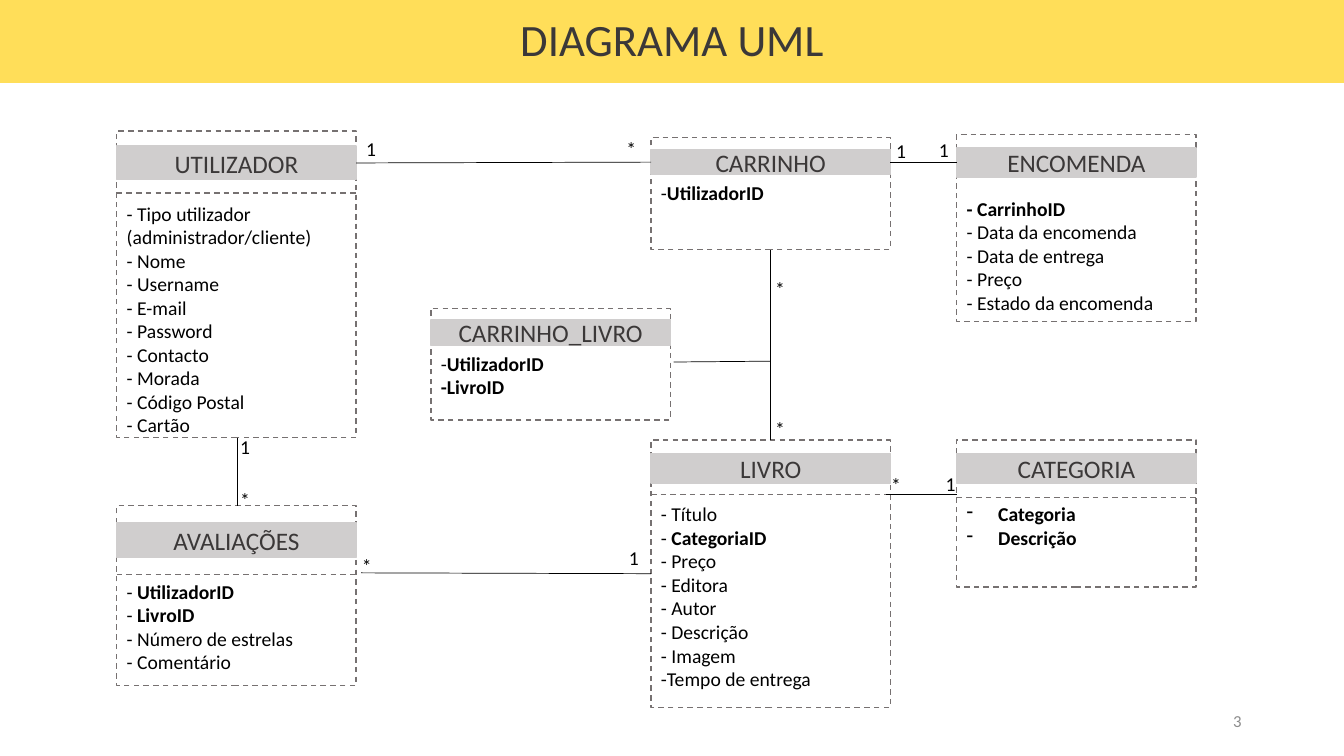
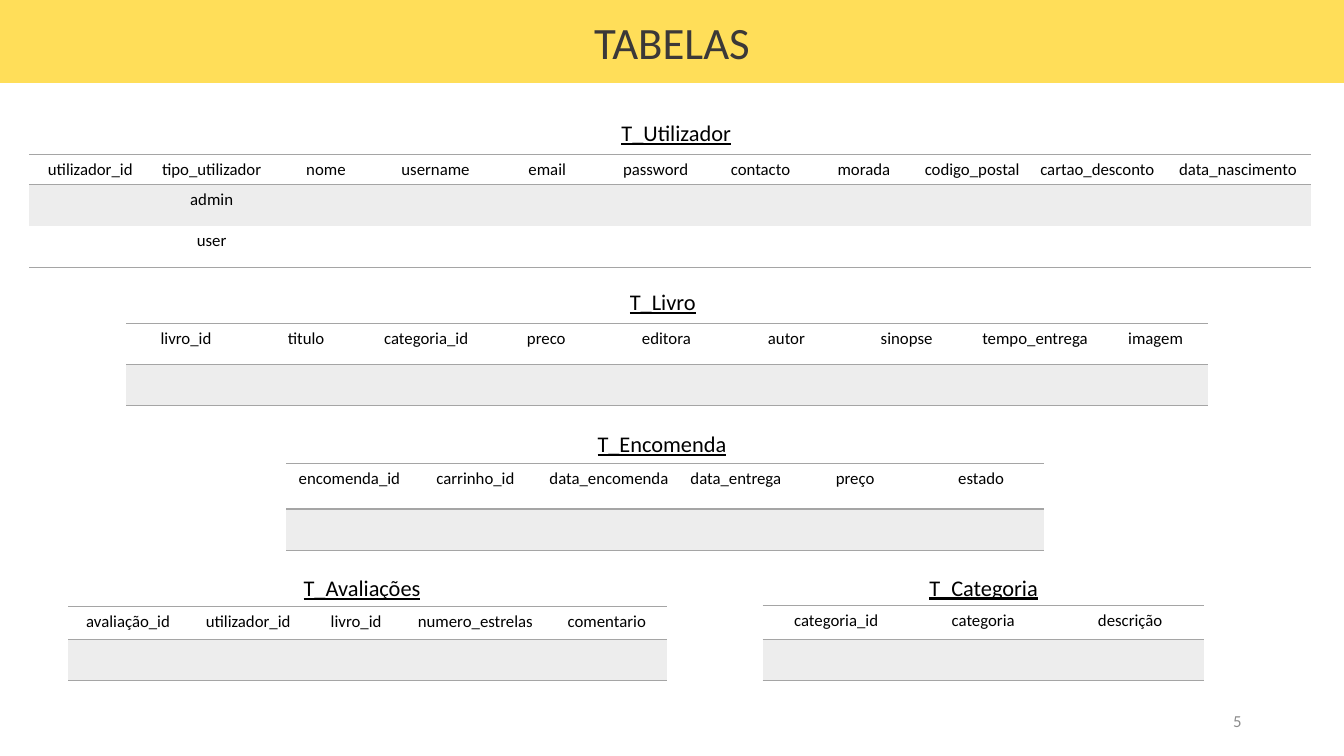
import pptx
import pptx.dml.color
import pptx.enum.dml
import pptx.enum.shapes
import pptx.enum.text
import pptx.oxml.ns
import pptx.util
from lxml import etree

qn = pptx.oxml.ns.qn
Pt = pptx.util.Pt
ALIGN = pptx.enum.text.PP_ALIGN
DASH = pptx.enum.dml.MSO_LINE.DASH

COLORS = {
    "yellow": "FFDE59", "title": "3B3838", "band": "D0CECE", "frame": "767171",
    "text": "000000", "number": "8C8C8C", "rule": "A5A5A5", "stripe": "EDEDED",
}
RGB = {name: pptx.dml.color.RGBColor.from_string(code) for name, code in COLORS.items()}
FONT = "Calibri"
NO_GRID_STYLE = "{2D5ABB26-0587-4C30-8999-92F81FD0307C}"

deck = pptx.Presentation()
deck.slide_width = pptx.util.Inches(13.333)
deck.slide_height = pptx.util.Inches(7.5)
# The slide is a grid of 160 columns and 90 rows of square cells.
COLUMNS, ROWS = 160, 90
CELL = deck.slide_height / ROWS


def add_box(slide, at, lines=(), size=14, color="text", align=ALIGN.LEFT, fill=None,
            border=None, dash=None, middle=False, underline=None, bullets=False):
    """Add a rectangle, or a text box if it has no border; text after "|" is bold."""
    place = [round(n * CELL) for n in at]
    if border:
        box = slide.shapes.add_shape(pptx.enum.shapes.MSO_SHAPE.RECTANGLE, *place)
        box.shadow.inherit = False
        box.line.color.rgb = RGB[border]
        box.line.width = Pt(1)
        box.line.dash_style = dash
        if fill:
            box.fill.solid()
            box.fill.fore_color.rgb = RGB[fill]
        else:
            box.fill.background()
    else:
        box = slide.shapes.add_textbox(*place)
    frame = box.text_frame
    frame.word_wrap = True
    anchor = pptx.enum.text.MSO_ANCHOR
    frame.vertical_anchor = anchor.MIDDLE if middle else anchor.TOP
    for index, line in enumerate(lines):
        paragraph = frame.add_paragraph() if index else frame.paragraphs[0]
        plain, _, strong = line.partition("|")
        if plain:
            paragraph.add_run().text = plain
        if strong:
            run = paragraph.add_run()
            run.text = strong
            run.font.bold = True
        paragraph.alignment = align
        if bullets:
            props = paragraph._p.get_or_add_pPr()
            indent = round(3.75 * CELL)
            props.set("marL", str(indent))
            props.set("indent", str(-indent))
            etree.SubElement(props, qn("a:buChar")).set("char", "-")
        font = paragraph.font
        font.name, font.size, font.underline = FONT, Pt(size), underline
        font.color.rgb = RGB[color]


def add_line(slide, start, end, color="text", width=0.5, dash=None):
    line = slide.shapes.add_connector(
        pptx.enum.shapes.MSO_CONNECTOR.STRAIGHT, *[round(n * CELL) for n in start + end])
    line.line.color.rgb = RGB[color]
    line.line.width = Pt(width)
    line.line.dash_style = dash
    etree.SubElement(line.element.spPr, qn("a:effectLst"))


# Title band and page number
slides = []
for title, title_top, number in [("DIAGRAMA UML", 0.8, "3"), ("TABELAS", 1.2, "5")]:
    slide = deck.slides.add_slide(deck.slide_layouts[6])
    add_box(slide, (0, 0, COLUMNS, 9.8), fill="yellow", border="yellow")
    add_box(slide, (0, title_top, COLUMNS, 7.7), [title], 32, "title", ALIGN.CENTER)
    add_box(slide, (113, 83.4, 36, 4.8), [number], 12, "number", ALIGN.RIGHT, middle=True)
    slides.append(slide)
diagram, tables = slides

# Classes: name, left, top, height, band top, band height, list top, divider, attributes
LEFT, CENTER, INNER, RIGHT = 13.9, 51.3, 77.5, 113.9
CLASS_WIDTH = 28.5
classes = [
    ("ENCOMENDA", RIGHT, 16, 22.3, 17.6, 3.5, 22.8, None,
     ["|- CarrinhoID", "- Data da encomenda", "- Data de entrega", "- Preço",
      "- Estado da encomenda"]),
    ("LIVRO", INNER, 52.4, 31.8, 54, 3.5, 59.2, 58.9,
     ["- Título", "- |CategoriaID", "- Preço", "- Editora", "- Autor", "- Descrição",
      "- Imagem", "-Tempo de entrega"]),
    ("UTILIZADOR", LEFT, 15.6, 36.5, 17.4, 4, 23.4, 23,
     ["- Tipo utilizador (administrador/cliente)", "- Nome", "- Username", "- E-mail",
      "- Password", "- Contacto", "- Morada", "- Código Postal", "- Cartão"]),
    ("AVALIAÇÕES", LEFT, 60.2, 21.4, 62.2, 4.2, 68.4, 68.4,
     ["- |UtilizadorID", "- |LivroID", "- Número de estrelas", "- Comentário"]),
    ("CATEGORIA", RIGHT, 52.4, 17.5, 54, 3.5, 59.2, 59.2, ["|Categoria", "|Descrição"]),
    ("CARRINHO", INNER, 16.4, 13.3, 17.8, 3, 20.9, None, ["-|UtilizadorID"]),
    ("CARRINHO_LIVRO", CENTER, 36.7, 13.3, 38.1, 3, 41.3, None,
     ["-|UtilizadorID", "|-LivroID"]),
]
for name, left, top, height, band_top, band_height, list_top, divider, attributes in classes:
    add_box(diagram, (left, top, CLASS_WIDTH, height), border="frame", dash=DASH)
    add_box(diagram, (left, band_top, CLASS_WIDTH, band_height), [name], 18, "title",
            ALIGN.CENTER, fill="band", border="band", middle=True)
    add_box(diagram, (left, list_top, CLASS_WIDTH, top + height - list_top), attributes,
            bullets=name == "CATEGORIA")
    if divider:
        add_line(diagram, (left, divider), (left + CLASS_WIDTH, divider), "frame", 1, DASH)

# Relations between classes, then their multiplicities
relations = [
    ((42.4, 19.4), (INNER, 19.3)), ((INNER + CLASS_WIDTH, 19.3), (RIGHT, 19.3)),
    ((91.7, 29.8), (91.7, 52.4)), ((28.2, 52.1), (28.2, 60.2)),
    ((43, 68.2), (INNER, 68.3)), ((80.2, 43.1), (91.7, 43)),
    ((105.5, 58.9), (RIGHT, 58.9)),
]
for start, end in relations:
    add_line(diagram, start, end)

multiplicities = {
    "1": [(42.4, 15.7), (105.5, 16), (110.6, 15.8), (27.4, 51.2), (73.7, 64.4),
          (111.4, 55.6)],
    "*": [(73.4, 15.7), (91.1, 32.4), (91.1, 49.1), (27.4, 57.5), (41.9, 65.3),
          (104.9, 55.7)],
}
for mark, places in multiplicities.items():
    for left, top in places:
        add_box(diagram, (left, top, 3.8, 4.1), [mark])

# Tables: caption, its centre and top, left, top, heading height, columns, body rows
CAPTION_WIDTH, BODY_HEIGHT, SIDE_MARGIN = 50, 4.9, 0.5
schemas = [
    ("T_Utilizador", 80.5, 13.6, 3.5, 18.4, 3.6,
     {"utilizador_id": 14.5, "tipo_utilizador": 14.4, "nome": 12.8, "username": 13.3,
      "email": 13.3, "password": 12.5, "contacto": 12.5, "morada": 12.1,
      "codigo_postal": 13.7, "cartao_desconto": 16.1, "data_nascimento": 17.4},
     [{"tipo_utilizador": "admin"}, {"tipo_utilizador": "user"}]),
    ("T_Livro", 78.9, 33.7, 15, 38.5, 4.9,
     {"livro_id": 14.3, "titulo": 14.3, "categoria_id": 14.3, "preco": 14.3,
      "editora": 14.3, "autor": 14.3, "sinopse": 14.3, "tempo_entrega": 16.3,
      "imagem": 12.4}, [{}]),
    ("T_Encomenda", 78.8, 50.6, 34.1, 55.2, 5.4,
     {"encomenda_id": 15, "carrinho_id": 15, "data_encomenda": 16.8,
      "data_entrega": 13.4, "preço": 15, "estado": 15}, [{}]),
    ("T_Avaliações", 43.1, 67.8, 8.1, 72.2, 3.9,
     {"avaliação_id": 14.3, "utilizador_id": 14.3, "livro_id": 11.4,
      "numero_estrelas": 17, "comentario": 14.3}, [{}]),
    ("T_Categoria", 117.1, 67.7, 90.8, 72.1, 4,
     {"categoria_id": 17.5, "categoria": 17.5, "descrição": 17.5}, [{}]),
]
for caption, center, caption_top, left, top, heading_height, columns, body in schemas:
    add_box(tables, (center - CAPTION_WIDTH / 2, caption_top, CAPTION_WIDTH, 4.4),
            [caption], 16, align=ALIGN.CENTER, underline=True)
    heights = [heading_height] + [BODY_HEIGHT] * len(body)
    place = [round(n * CELL) for n in (left, top, sum(columns.values()), sum(heights))]
    holder = tables.shapes.add_table(len(heights), len(columns), *place)
    next(holder.element.iter(qn("a:tableStyleId"))).text = NO_GRID_STYLE
    table = holder.table
    table.first_row = table.horz_banding = False
    for column, width in zip(table.columns, columns.values()):
        column.width = round(width * CELL)
    records = [{heading: heading for heading in columns}] + body
    for row_index, (record, height) in enumerate(zip(records, heights)):
        table.rows[row_index].height = round(height * CELL)
        edges = ["a:lnT"] if row_index == 0 else []
        if row_index in (0, len(body)):
            edges.append("a:lnB")
        for column_index, heading in enumerate(columns):
            cell = table.cell(row_index, column_index)
            cell.text = record.get(heading, "")
            cell.margin_left = cell.margin_right = round(SIDE_MARGIN * CELL)
            paragraph = cell.text_frame.paragraphs[0]
            paragraph.alignment = ALIGN.CENTER
            paragraph.font.name, paragraph.font.size = FONT, Pt(12)
            paragraph.font.color.rgb = RGB["text"]
            for edge in edges:
                border = etree.SubElement(cell._tc.get_or_add_tcPr(), qn(edge), w=str(Pt(1)))
                paint = etree.SubElement(border, qn("a:solidFill"))
                etree.SubElement(paint, qn("a:srgbClr"), val=COLORS["rule"])
            if row_index == 1:
                cell.fill.solid()
                cell.fill.fore_color.rgb = RGB["stripe"]
            else:
                cell.fill.background()

deck.save("out.pptx")
